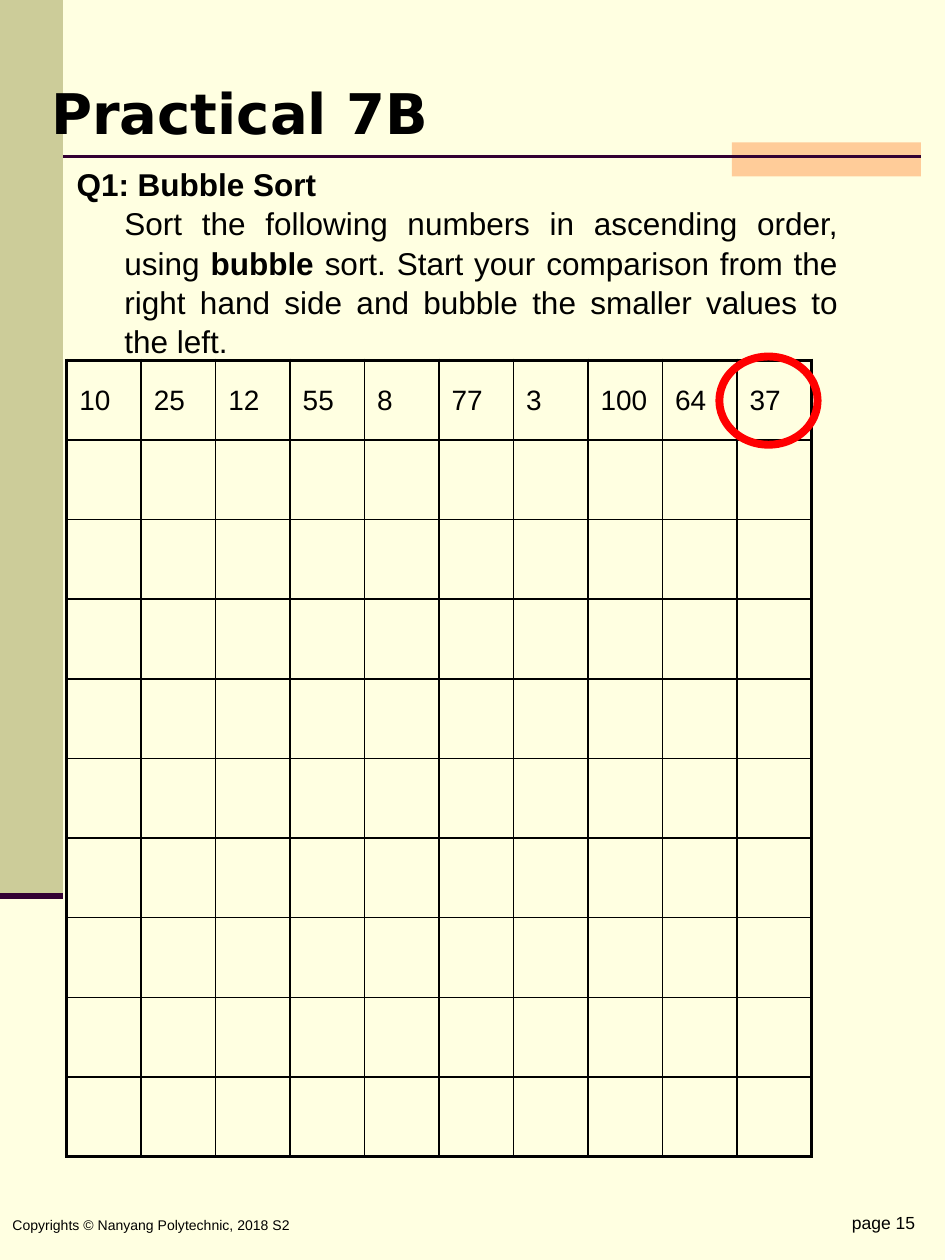
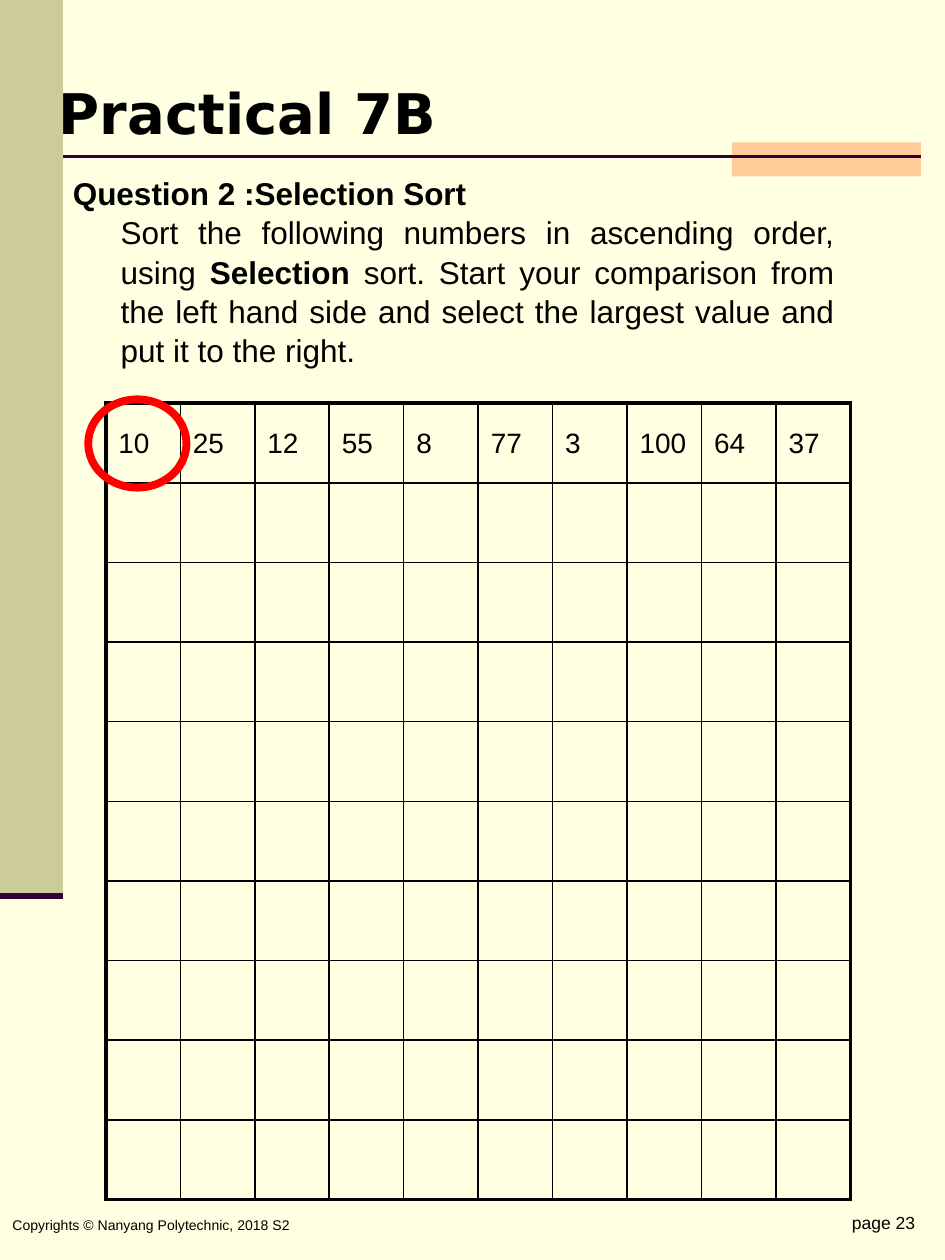
from lxml.etree import SubElement
from pptx import Presentation
from pptx.dml.color import RGBColor
from pptx.enum.shapes import MSO_CONNECTOR, MSO_SHAPE
from pptx.enum.text import MSO_ANCHOR, PP_ALIGN
from pptx.oxml.ns import qn
from pptx.util import Inches, Pt

CREAM, KHAKI, PEACH = "FFFFE1", "CCCC99", "FFCC99"
PLUM, RED, BLACK = "330033", "FF0000", "000000"
BODY_FONT, TITLE_FONT = "Arial", "DejaVu Sans"
NUMBERS = [10, 25, 12, 55, 8, 77, 3, 100, 64, 37]
GRID_SIZE = len(NUMBERS)
GRID_WIDTH, GRID_HEIGHT = 5.91, 6.32
THIN, THICK = 1, 2.25

EXERCISES = [
    {
        "title_left": 0.3,
        "page": 15,
        "question_at": (0.51, 1.25),
        "heading": "Q1: Bubble Sort",
        "task": [
            ("Sort the following numbers in ascending order, using ", False),
            ("bubble", True),
            (" sort. Start your comparison from the right hand side and "
             "bubble the smaller values to the left.", False),
        ],
        "grid_at": (0.53, 2.86),
        "start_column": GRID_SIZE - 1,
    },
    {
        "title_left": 0.36,
        "page": 23,
        "question_at": (0.48, 1.32),
        "heading": "Question 2 :Selection Sort",
        "task": [
            ("Sort the following numbers in ascending order, using ", False),
            ("Selection ", True),
            ("sort. Start your comparison from the left hand side and "
             "select the largest value and put it to the right.", False),
        ],
        "grid_at": (0.84, 3.2),
        "start_column": 0,
    },
]


def color(value):
    return RGBColor.from_string(value)


def box(left, top, width, height):
    return [Inches(length) for length in (left, top, width, height)]


def add_run(paragraph, text, size, bold=False, font=BODY_FONT):
    run = paragraph.add_run()
    run.text = text
    run.font.name = font
    run.font.size = Pt(size)
    run.font.bold = bold
    run.font.color.rgb = color(BLACK)


def add_band(slide, bounds, fill):
    band = slide.shapes.add_shape(MSO_SHAPE.RECTANGLE, *box(*bounds))
    band.shadow.inherit = False
    band.fill.solid()
    band.fill.fore_color.rgb = color(fill)
    band.line.fill.background()


def add_rule(slide, left, right, top, width):
    rule = slide.shapes.add_connector(
        MSO_CONNECTOR.STRAIGHT, Inches(left), Inches(top), Inches(right), Inches(top))
    rule.line.color.rgb = color(PLUM)
    rule.line.width = Pt(width)
    SubElement(rule.element.spPr, qn("a:effectLst"))


def add_text_box(slide, bounds, anchor=MSO_ANCHOR.TOP):
    frame = slide.shapes.add_textbox(*box(*bounds)).text_frame
    frame.word_wrap = True
    frame.vertical_anchor = anchor
    return frame


def add_frame(slide, page):
    add_band(slide, (0, 0, 0.5, 7.11), KHAKI)
    add_band(slide, (5.81, 1.13, 1.5, 0.27), PEACH)
    add_rule(slide, 0.5, 7.31, 1.24, 1.5)
    add_rule(slide, 0, 0.5, 7.11, 3.5)
    copyright_line = add_text_box(slide, (0, 9.44, 4.88, 0.56), MSO_ANCHOR.MIDDLE)
    add_run(copyright_line.paragraphs[0], "Copyrights © Nanyang Polytechnic, 2018 S2", 8)
    page_number = add_text_box(slide, (5.25, 9.57, 2.11, 0.3)).paragraphs[0]
    page_number.alignment = PP_ALIGN.RIGHT
    add_run(page_number, f"page {page}", 10)


def set_title(slide, left):
    title = slide.shapes.title
    title.left, title.top, title.width, title.height = box(left, 0.57, 3.21, 0.64)
    frame = title.text_frame
    frame.word_wrap = False
    frame.vertical_anchor = MSO_ANCHOR.TOP
    paragraph = frame.paragraphs[0]
    paragraph.alignment = PP_ALIGN.CENTER
    add_run(paragraph, "Practical 7B", 32, True, TITLE_FONT)
    title.element.getparent().append(title.element)


def add_question(slide, left, top, heading, task):
    frame = add_text_box(slide, (left, top, 6.24, 1.61))
    heading_paragraph, task_paragraph = frame.paragraphs[0], frame.add_paragraph()
    for paragraph in (heading_paragraph, task_paragraph):
        paragraph.alignment = PP_ALIGN.JUSTIFY
        paragraph.line_spacing = 1.04
    add_run(heading_paragraph, heading, 18, True)
    task_paragraph._p.get_or_add_pPr().set("marL", str(Inches(0.38)))
    for text, bold in task:
        add_run(task_paragraph, text, 18, bold)


def set_borders(cell, row, column):
    last = GRID_SIZE - 1
    outer_edges = {"L": column == 0, "R": column == last, "T": row == 0, "B": row == last}
    properties = cell._tc.get_or_add_tcPr()
    for side, is_outer in outer_edges.items():
        width = Pt(THICK if is_outer else THIN)
        border = SubElement(properties, qn(f"a:ln{side}"), w=str(width))
        fill = SubElement(border, qn("a:solidFill"))
        SubElement(fill, qn("a:srgbClr"), val=BLACK)


def add_sort_grid(slide, left, top, start_column):
    table = slide.shapes.add_table(
        GRID_SIZE, GRID_SIZE, *box(left, top, GRID_WIDTH, GRID_HEIGHT)).table
    table.first_row = table.horz_banding = False
    for row in range(GRID_SIZE):
        for column in range(GRID_SIZE):
            cell = table.cell(row, column)
            set_borders(cell, row, column)
            cell.fill.background()
    for column, number in enumerate(NUMBERS):
        paragraph = table.cell(0, column).text_frame.paragraphs[0]
        paragraph.line_spacing = 1.6
        add_run(paragraph, str(number), 16)

    start_left = left + start_column * GRID_WIDTH / GRID_SIZE
    circle = slide.shapes.add_shape(
        MSO_SHAPE.OVAL, *box(start_left - 0.14, top - 0.03, 0.78, 0.7))
    circle.shadow.inherit = False
    circle.fill.background()
    circle.line.color.rgb = color(RED)
    circle.line.width = Pt(4.5)


def add_exercise_slide(presentation, exercise):
    slide = presentation.slides.add_slide(presentation.slide_layouts[5])
    add_frame(slide, exercise["page"])
    add_question(slide, *exercise["question_at"], exercise["heading"], exercise["task"])
    add_sort_grid(slide, *exercise["grid_at"], exercise["start_column"])
    set_title(slide, exercise["title_left"])


def main():
    presentation = Presentation()
    presentation.slide_width, presentation.slide_height = Inches(7.5), Inches(10)
    background = presentation.slide_master.background.fill
    background.solid()
    background.fore_color.rgb = color(CREAM)
    for exercise in EXERCISES:
        add_exercise_slide(presentation, exercise)
    presentation.save("out.pptx")


if __name__ == "__main__":
    main()
